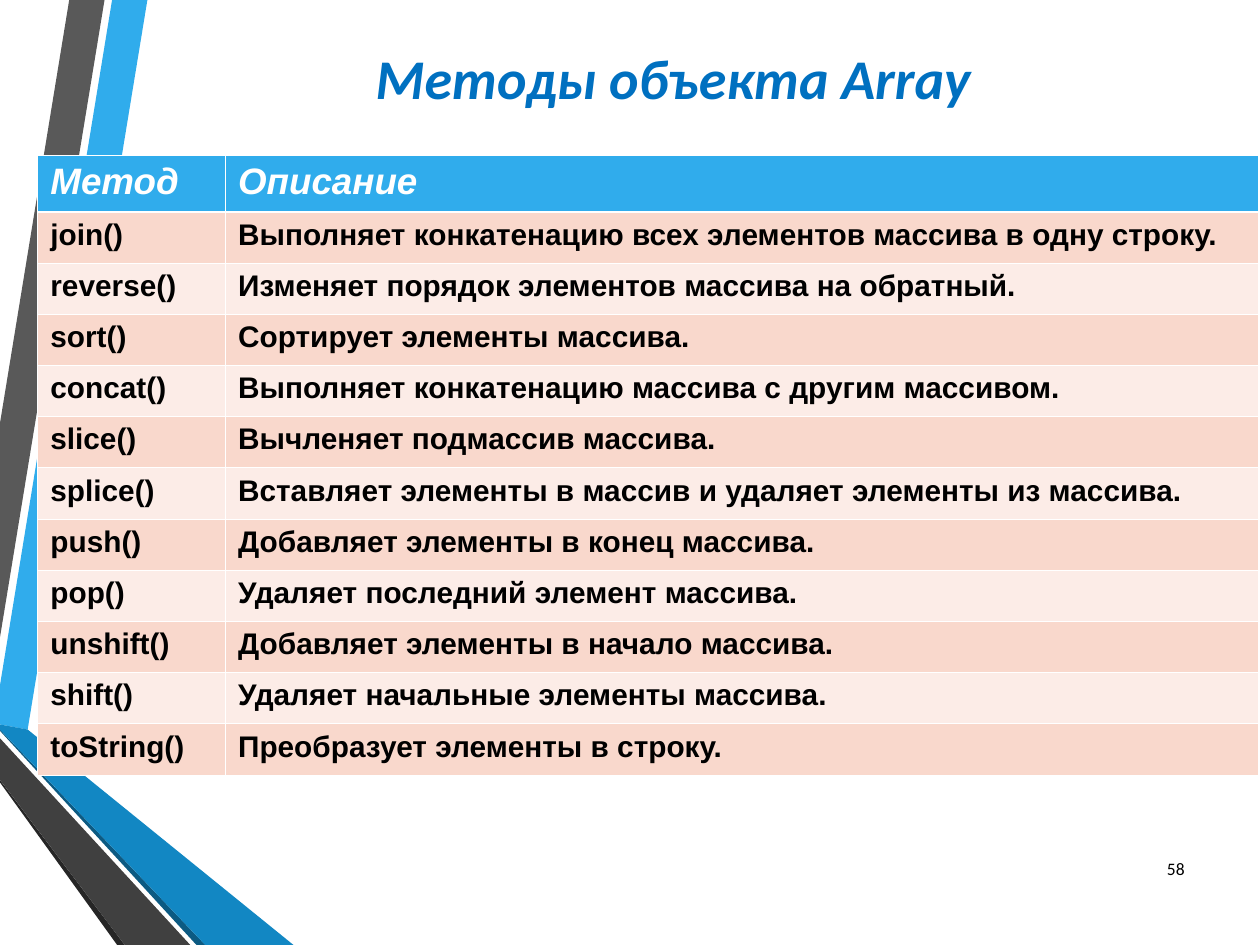
from lxml import etree
from pptx import Presentation
from pptx import util as u
from pptx.dml.color import RGBColor
from pptx.enum import text
from pptx.oxml import ns

SKY = RGBColor(0x30, 0xAC, 0xEC)
GREY = RGBColor(0x59, 0x59, 0x59)
BLACK_GREY = RGBColor(0x26, 0x26, 0x26)
NAVY = RGBColor(0x0C, 0x5A, 0x82)
BLUE = RGBColor(0x12, 0x87, 0xC3)
DARK_GREY = RGBColor(0x40, 0x40, 0x40)
TITLE_BLUE = RGBColor(0x00, 0x70, 0xC0)
PEACH = RGBColor(0xF9, 0xD8, 0xCC)
PALE_PEACH = RGBColor(0xFC, 0xEC, 0xE7)
WHITE = RGBColor(0xFF, 0xFF, 0xFF)
BLACK = RGBColor(0x00, 0x00, 0x00)

RIBBONS = [
    (SKY, [(0, 5.44), (0, 5.75), (0.22, 5.79), (1.17, 0), (0.89, 0)]),
    (GREY, [(0.83, 0), (0.55, 0), (0, 3.36), (0, 5.06)]),
    (BLACK_GREY, [(0, 6.19), (0, 6.21), (0.93, 7.5), (0.99, 7.5)]),
    (NAVY, [(0, 5.79), (0, 5.8), (1.56, 7.5), (1.63, 7.5)]),
    (BLUE, [(0, 5.79), (1.63, 7.5), (2.33, 7.5), (0.22, 5.79), (0, 5.75)]),
    (DARK_GREY, [(0, 6.19), (0.99, 7.5), (1.51, 7.5), (0, 5.86)]),
]

METHODS = [
    ("Метод", "Описание"),
    ("join()", "Выполняет конкатенацию всех элементов массива в одну строку."),
    ("reverse()", "Изменяет порядок элементов массива на обратный."),
    ("sort()", "Сортирует элементы массива."),
    ("concat()", "Выполняет конкатенацию массива с другим массивом."),
    ("slice()", "Вычленяет подмассив массива."),
    ("splice()", "Вставляет элементы в массив и удаляет элементы из массива."),
    ("push()", "Добавляет элементы в конец массива."),
    ("рор()", "Удаляет последний элемент массива."),
    ("unshift()", "Добавляет элементы в начало массива."),
    ("shift()", "Удаляет начальные элементы массива."),
    ("toString()", "Преобразует элементы в строку."),
]


class SlideBuilder:
    heading_font = "Calibri"
    table_font = "Arial"
    thin_border = 0.45
    thick_border = 1.47

    def __init__(self, slide):
        self.slide = slide

    def format_runs(self, paragraph, font_name, size, color, bold=False, italic=False):
        for run in paragraph.runs:
            run.font.name = font_name
            run.font.size = u.Pt(size)
            run.font.color.rgb = color
            run.font.bold = bold
            run.font.italic = italic

    def ribbon(self, color, points):
        corners = [(u.Inches(x), u.Inches(y)) for x, y in points]
        builder = self.slide.shapes.build_freeform(*corners[0])
        builder.add_line_segments(corners[1:], close=True)
        shape = builder.convert_to_shape()
        shape.shadow.inherit = False
        shape.fill.solid()
        shape.fill.fore_color.rgb = color
        shape.line.fill.background()

    def label(self, content, box, alignment, size, color, **emphasis):
        shape = self.slide.shapes.add_textbox(*[u.Inches(length) for length in box])
        frame = shape.text_frame
        frame.word_wrap = True
        frame.vertical_anchor = text.MSO_ANCHOR.MIDDLE
        frame.text = content
        paragraph = frame.paragraphs[0]
        paragraph.alignment = alignment
        self.format_runs(paragraph, self.heading_font, size, color, **emphasis)

    def border(self, cell, side, width):
        properties = cell._tc.get_or_add_tcPr()
        line = etree.SubElement(properties, ns.qn(f"a:ln{side}"), w=str(u.Pt(width)))
        fill = etree.SubElement(line, ns.qn("a:solidFill"))
        etree.SubElement(fill, ns.qn("a:srgbClr"), val=str(WHITE))

    def cell(self, cell, content, row):
        header = row == 0
        thick_side = {0: "B", 1: "T"}.get(row)
        for side in "LRTB":
            self.border(cell, side, self.thick_border if side == thick_side else self.thin_border)
        cell.fill.solid()
        cell.fill.fore_color.rgb = SKY if header else PEACH if row % 2 else PALE_PEACH
        cell.text = content
        self.format_runs(cell.text_frame.paragraphs[0], self.table_font,
                         21 if header else 17, WHITE if header else BLACK,
                         bold=True, italic=header)

    def table(self, rows, left, top, widths, height, header_height):
        frame = self.slide.shapes.add_table(
            len(rows), len(widths), u.Inches(left), u.Inches(top),
            u.Inches(sum(widths)), u.Inches(height))
        table = frame.table
        body_height = (height - header_height) / (len(rows) - 1)
        for column, width in zip(table.columns, widths):
            column.width = u.Inches(width)
        for index, values in enumerate(rows):
            table.rows[index].height = u.Inches(body_height if index else header_height)
            for column, content in enumerate(values):
                self.cell(table.cell(index, column), content, index)


def main():
    presentation = Presentation()
    presentation.slide_width = u.Inches(10)
    presentation.slide_height = u.Inches(7.5)
    builder = SlideBuilder(presentation.slides.add_slide(presentation.slide_layouts[6]))
    for color, points in RIBBONS:
        builder.ribbon(color, points)
    builder.label("58", (9.05, 6.69, 0.45, 0.4), text.PP_ALIGN.RIGHT, 10, BLACK)
    builder.label("Методы объекта Array", (1.64, 0.21, 7.41, 0.81), text.PP_ALIGN.CENTER,
                  32, TITLE_BLUE, bold=True, italic=True)
    builder.table(METHODS, 0.3, 1.23, (1.49, 8.2), 4.92, 0.45)
    presentation.save("out.pptx")


if __name__ == "__main__":
    main()
